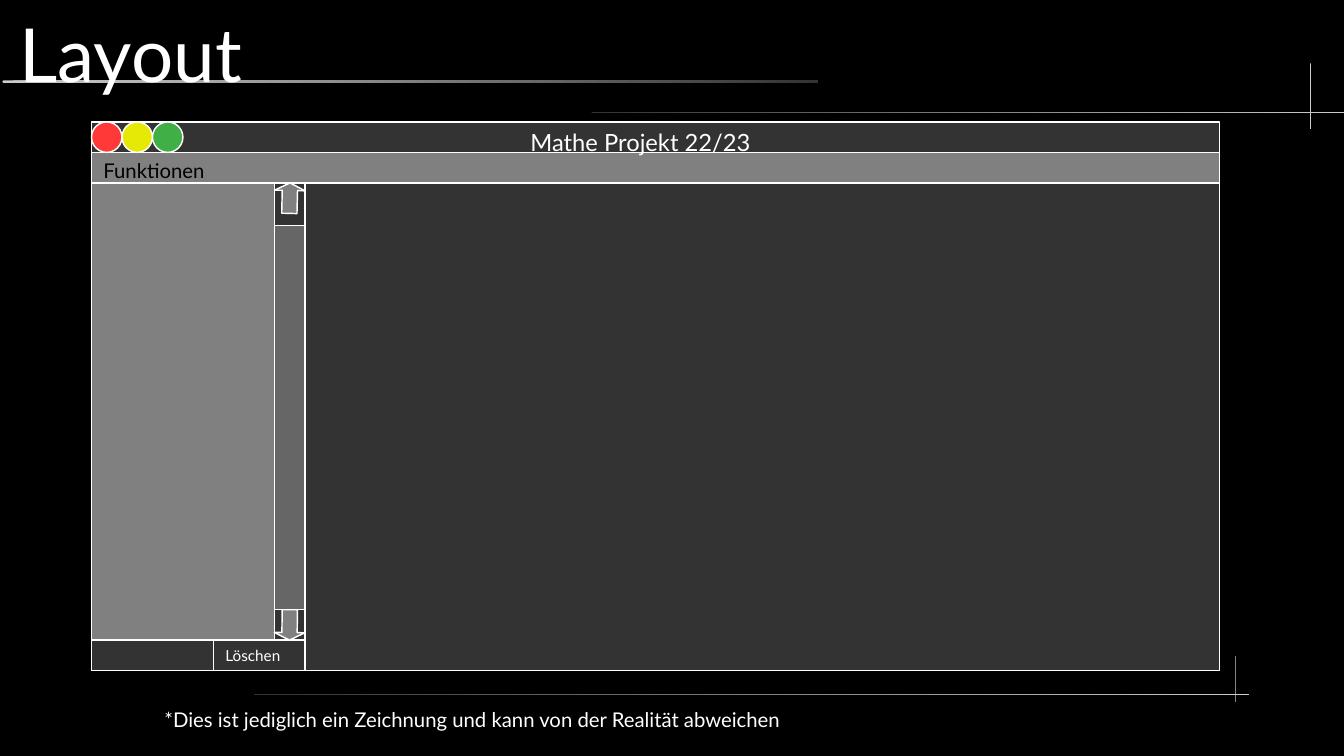
from dataclasses import dataclass
from pptx import Presentation
from pptx.dml.color import RGBColor
from pptx.enum.shapes import MSO_SHAPE
from pptx.enum.text import MSO_ANCHOR
from pptx.util import Pt

PX = 9144


@dataclass(frozen=True)
class Theme:
    """Colours, font and type sizes of the slide."""
    font: str = "Lato"
    back: str = "000000"
    text: str = "FFFFFF"
    border: str = "FFFFFF"
    dark: str = "333333"
    track: str = "666666"
    panel: str = "808080"
    rule: str = "CCCCCC"
    buttons: tuple = ("FF3838", "E6E905", "3FAF46")
    title: int = 44
    heading: int = 14
    body: int = 12
    small: int = 9
    line: float = 0.85


T = Theme()


def rgb(value):
    """Return the colour for a hex string."""
    return RGBColor.from_string(value)


def add_plain(s, kind, box):
    """Add a shape without shadow or line."""
    sp = s.shapes.add_shape(kind, *(v * PX for v in box))
    sp.shadow.inherit = False
    sp.line.fill.background()
    return sp


def add_part(s, kind, box, fill):
    """Add a filled shape with the common border."""
    sp = add_plain(s, kind, box)
    sp.fill.solid()
    sp.fill.fore_color.rgb = rgb(fill)
    sp.line.color.rgb = rgb(T.border)
    sp.line.width = Pt(T.line)
    return sp


def add_text(s, box, text, size, color=T.text, inset=(10, 5), anchor=MSO_ANCHOR.TOP):
    """Add a text box holding one run."""
    tf = s.shapes.add_textbox(*(v * PX for v in box)).text_frame
    tf.word_wrap = True
    tf.vertical_anchor = anchor
    tf.margin_left = tf.margin_right = inset[0] * PX
    tf.margin_top = tf.margin_bottom = inset[1] * PX
    r = tf.paragraphs[0].add_run()
    r.text = text
    r.font.name = T.font
    r.font.size = Pt(size)
    r.font.color.rgb = rgb(color)


def add_rule(s, box, start, end):
    """Add a thin rounded rule fading from start to end."""
    sp = add_plain(s, MSO_SHAPE.ROUNDED_RECTANGLE, box)
    sp.adjustments[0] = 0.5
    sp.fill.gradient()
    sp.fill.gradient_angle = 0
    for stop, color in zip(sp.fill.gradient_stops, (start, end)):
        stop.color.rgb = rgb(color)


def add_decor(s):
    """Add the background rules."""
    add_rule(s, (2, 66, 669, 2), T.rule, T.dark)
    for box in ((485, 92, 621, 1), (208, 569, 816, 1)):
        add_rule(s, box, T.dark, T.rule)
    for box in ((1074, 52, 1, 54), (1013, 538, 1, 38)):
        add_rule(s, box, T.rule, T.rule)


def add_scrollbar(s, x, y, w, h):
    """Add the scroll bar with its track and end arrows."""
    add_part(s, MSO_SHAPE.RECTANGLE, (x, y, w, h), T.dark)
    for top, turn in ((y + h - w, 270.7), (y, 91.3)):
        sp = add_part(s, MSO_SHAPE.LEFT_ARROW, (x, top, w, w), T.panel)
        sp.adjustments[0], sp.adjustments[1] = 0.5, 0.25
        sp.rotation = turn
    add_part(s, MSO_SHAPE.RECTANGLE, (x, y + 35, w, h - 35 - w), T.track)


def add_sidebar(s, x, y, w, h, bar):
    """Add the function list, its scroll bar and the bottom buttons."""
    add_part(s, MSO_SHAPE.RECTANGLE, (x, y, w, h), T.panel)
    foot = y + h - bar
    add_part(s, MSO_SHAPE.RECTANGLE, (x, foot, 100, bar), T.dark)
    add_part(s, MSO_SHAPE.RECTANGLE, (x + 100, foot, w - 100, bar), T.dark)
    add_text(s, (x + 100, foot, 100, 60), "Löschen", T.small)
    add_scrollbar(s, x + w - bar, y, bar, h - bar)


def add_window(s, x, y, w, h, bar=25):
    """Add the sketched application window."""
    add_part(s, MSO_SHAPE.RECTANGLE, (x, y, w, h), T.dark)
    add_part(s, MSO_SHAPE.RECTANGLE, (x, y + bar, w, bar), T.panel)
    add_sidebar(s, x, y + 2 * bar, 175, h - 2 * bar, bar)
    add_text(s, (x + 350, y, 325, 60), "Mathe Projekt 22/23", T.heading)
    for i, color in enumerate(T.buttons):
        add_part(s, MSO_SHAPE.OVAL, (x + i * bar, y, bar, bar), color)
    add_text(s, (x, y + bar, 150, 60), "Funktionen", T.body, T.back)


def add_layout_slide(prs):
    """Build the layout sketch slide."""
    s = prs.slides.add_slide(prs.slide_layouts[6])
    s.background.fill.solid()
    s.background.fill.fore_color.rgb = rgb(T.back)
    add_decor(s)
    add_text(s, (16, 7, 1043, 73), "Layout", T.title, inset=(0, 0), anchor=MSO_ANCHOR.MIDDLE)
    add_window(s, 75, 100, 925, 450)
    note = "*Dies ist jediglich ein Zeichnung und kann von der Realität abweichen"
    add_text(s, (125, 575, 775, 30), note, T.body)


def main():
    """Create and save the presentation."""
    prs = Presentation()
    prs.slide_width, prs.slide_height = 1102 * PX, 620 * PX
    add_layout_slide(prs)
    prs.save("out.pptx")


if __name__ == "__main__":
    main()
